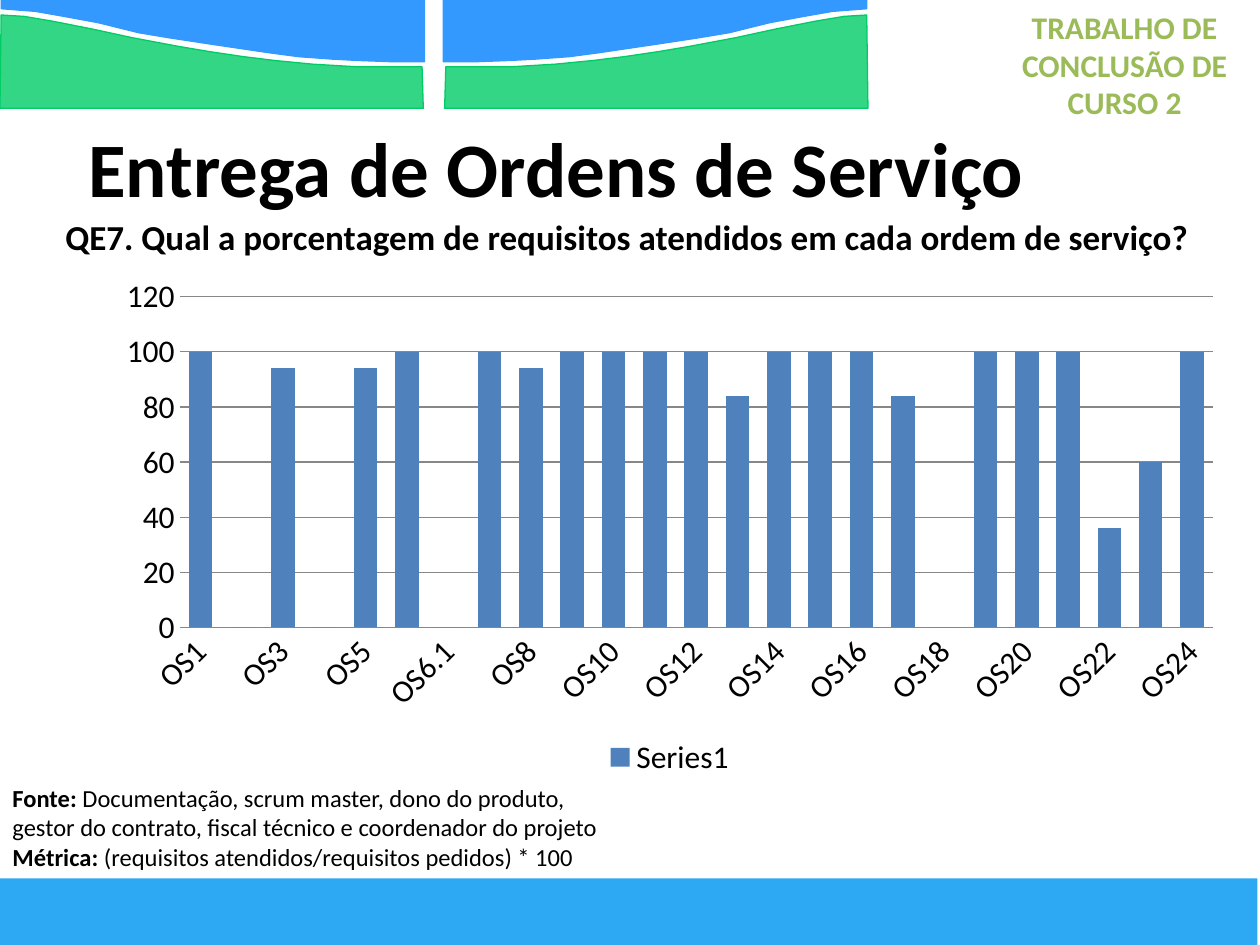
from lxml import etree
from pptx import Presentation
from pptx import util as u
from pptx.chart.data import CategoryChartData
from pptx.dml.color import RGBColor
from pptx.enum import chart as ch, shapes, text
from pptx.oxml.ns import qn

THEME = dict(
    font="Calibri", ink="000000", lime="9BBB59", sky="3399FF", hill="00CC66",
    band="2DA8F3", bar="4F81BD", grid="878787",
    head=18, title=44, ask=20, axis=18, note=14, rule=0.75,
)
MID, LEFT = text.PP_ALIGN.CENTER, text.PP_ALIGN.LEFT

HEAD = dict(box=(565.2, 1, 154.8, 93.6), size="head", tone="lime", align=MID,
            lines=[[("TRABALHO DE CONCLUSÃO DE CURSO 2", True)]])
BODY = [
    dict(box=(43.5, 57, 612, 77), size="title", tone="ink", align=LEFT,
         anchor=text.MSO_ANCHOR.MIDDLE,
         lines=[[("Entrega de Ordens de Serviço", True)]]),
    dict(box=(23.8, 119.5, 668.9, 31), size="ask", tone="ink", align=MID,
         lines=[[("QE7. Qual a porcentagem de requisitos atendidos em cada ordem de serviço?", True)]]),
    dict(box=(0, 443.9, 373.7, 57.6), size="note", tone="ink", align=LEFT,
         lines=[
             [("Fonte: ", True), ("Documentação, scrum master, dono do produto,", False)],
             [("gestor do contrato, fiscal técnico e coordenador do projeto", False)],
             [("Métrica: ", True), ("(requisitos atendidos/requisitos pedidos) * 100", False)],
         ]),
]
SKY = [(0.7, 0), (242.6, 0), (242.6, 35.3), (224.6, 35.3), (205.2, 34.6),
       (190.1, 33.8), (170.6, 32.4), (154.1, 30.2), (120.2, 25.2), (96.5, 21.6),
       (79.2, 18.7), (56.2, 13), (36.7, 9.4), (20.2, 6.5), (0.7, 5)]
HILL = [(0.7, 8.6), (13.7, 9.4), (30.2, 12.2), (52.6, 16.6), (75.6, 21.6),
        (102.2, 26.6), (119.5, 29.5), (139, 32.4), (157, 34.6), (178.6, 36.7),
        (203.8, 38.2), (226.1, 38.2), (241.2, 38.2), (241.9, 61.9), (0, 61.9)]
SPAN = 496
BAND = (-1.4, 502, 720, 38.2)
PLOT = (59.5, 152.8, 646.4, 294.5)
CATS = [f"OS{n}" for n in (1, 2, 3, 4, 5, 6, 6.1, *range(7, 25))]
VALS = [100, 0, 94, 0, 94, 100, 0, 100, 94, 100, 100, 100, 100, 84,
        100, 100, 100, 84, 0, 100, 100, 100, 36, 60, 100]


def tint(name):
    return RGBColor.from_string(THEME[name])


def pts(box):
    return [u.Pt(n) for n in box]


def put(item, vals):
    for key, val in vals.items():
        setattr(item, key, val)


def paint(item, name):
    item.fill.solid()
    item.fill.fore_color.rgb = tint(name)


def style(font, size, tone="ink", bold=False):
    put(font, dict(name=THEME["font"], size=u.Pt(THEME[size]), bold=bold))
    font.color.rgb = tint(tone)


def rule(line, tone="grid"):
    line.color.rgb = tint(tone)
    line.width = u.Pt(THEME["rule"])


def write(slide, part):
    frame = slide.shapes.add_textbox(*pts(part["box"])).text_frame
    put(frame, dict(word_wrap=True,
                    vertical_anchor=part.get("anchor", text.MSO_ANCHOR.TOP)))
    for i, line in enumerate(part["lines"]):
        para = frame.add_paragraph() if i else frame.paragraphs[0]
        para.alignment = part["align"]
        for words, bold in line:
            run = para.add_run()
            run.text = words
            style(run.font, part["size"], part["tone"], bold)


def wave(slide, dots, tone, flip, clear=None):
    spots = [pts((SPAN - x if flip else x, y)) for x, y in dots]
    pen = slide.shapes.build_freeform(*spots[0])
    pen.add_line_segments(spots[1:], close=True)
    shape = pen.convert_to_shape()
    shape.shadow.inherit = False
    paint(shape, tone)
    rule(shape.line, tone)
    if clear:
        color = shape.fill._xPr.find(".//" + qn("a:srgbClr"))
        etree.SubElement(color, qn("a:alpha"), val=str(clear * 1000))


def graph(slide):
    data = CategoryChartData()
    data.categories = CATS
    data.add_series("", VALS)
    chart = slide.shapes.add_chart(
        ch.XL_CHART_TYPE.COLUMN_CLUSTERED, *pts(PLOT), data).chart
    put(chart, dict(has_title=False, has_legend=True))
    style(chart.font, "axis")
    put(chart.legend, dict(position=ch.XL_LEGEND_POSITION.BOTTOM,
                           include_in_layout=False))
    style(chart.legend.font, "axis")
    plot = chart.plots[0]
    put(plot, dict(gap_width=75, overlap=-25, vary_by_categories=False))
    bars = plot.series[0]
    paint(bars.format, "bar")
    bars._element.remove(bars._element.find(qn("c:tx")))
    cat, val = chart.category_axis, chart.value_axis
    for axis in (cat, val):
        put(axis, dict(major_tick_mark=ch.XL_TICK_MARK.NONE,
                       minor_tick_mark=ch.XL_TICK_MARK.NONE))
        style(axis.tick_labels.font, "axis")
    put(val, dict(minimum_scale=0, maximum_scale=120, major_unit=20))
    rule(cat.format.line)
    rule(val.major_gridlines.format.line)
    val.format.line.fill.background()


def main():
    deck = Presentation()
    put(deck, dict(slide_width=u.Pt(720), slide_height=u.Pt(540)))
    slide = deck.slides.add_slide(deck.slide_layouts[6])
    write(slide, HEAD)
    for flip in (False, True):
        wave(slide, SKY, "sky", flip)
        wave(slide, HILL, "hill", flip, 80)
    band = slide.shapes.add_shape(shapes.MSO_SHAPE.RECTANGLE, *pts(BAND))
    band.shadow.inherit = False
    paint(band, "band")
    band.line.fill.background()
    graph(slide)
    for part in BODY:
        write(slide, part)
    deck.save("out.pptx")


if __name__ == "__main__":
    main()
